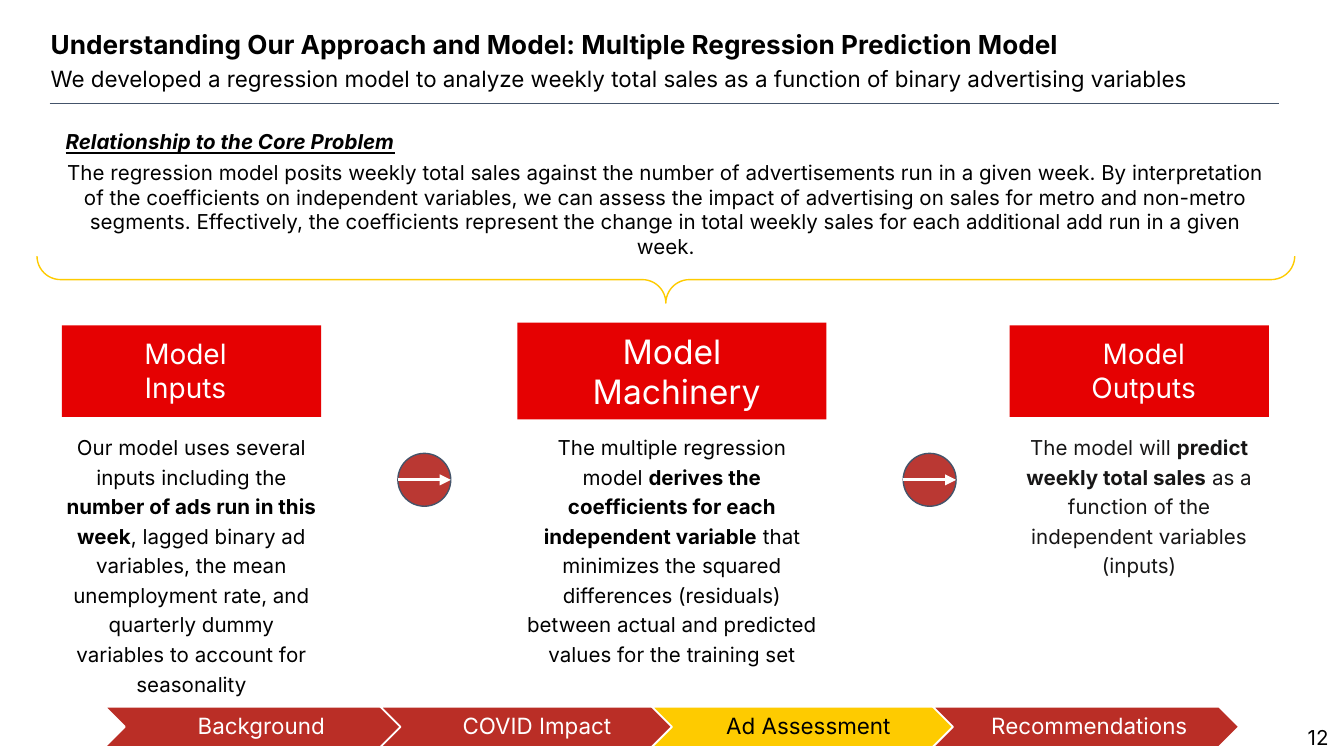
from dataclasses import dataclass
from typing import NamedTuple

from lxml.etree import SubElement
from pptx import Presentation
from pptx.dml.color import RGBColor
from pptx.enum.shapes import MSO_CONNECTOR, MSO_SHAPE
from pptx.enum.text import MSO_ANCHOR, PP_ALIGN
from pptx.oxml.ns import qn
from pptx.util import Cm, Pt


@dataclass(frozen=True)
class Theme:
    font: str = "Inter"
    black: str = "000000"
    ink: str = "171616"
    white: str = "FFFFFF"
    red: str = "E50102"
    brick: str = "BA2E26"
    disc: str = "BA3833"
    gold: str = "FECB00"
    slate: str = "44546A"
    title: int = 14
    lead: int = 12
    body: int = 11
    head: int = 15
    main: int = 18


class Box(NamedTuple):
    left: float
    top: float
    width: float
    height: float


class Part(NamedTuple):
    """A model column: red bar, label and text."""
    bar: Box
    label: Box
    lines: list
    size: int
    text: Box
    body: str
    color: str


class Step(NamedTuple):
    """A chevron of the progress band."""
    name: str
    left: float
    fill: str
    color: str


T = Theme()
TIGHT = (0.18, 0.1, 0.18, 0.1)
WIDE = (0.25,) * 4
SNUG = (0.18, 0.05, 0.05, 0.05)


def rgb(code: str) -> RGBColor:
    return RGBColor.from_string(code)


def put(item, **values) -> None:
    for name, value in values.items():
        setattr(item, name, value)


def cms(box) -> list:
    return [Cm(value) for value in box]


def add_text(slide, box: Box, lines: list, size: int, color: str = T.black,
             pad: tuple = TIGHT, align=PP_ALIGN.CENTER,
             anchor=MSO_ANCHOR.TOP, space: float = 1.0, **style):
    """Write one paragraph per line; *stars* enclose bold words."""
    frame = slide.shapes.add_textbox(*cms(box)).text_frame
    left, top, right, bottom = cms(pad)
    put(frame, word_wrap=True, vertical_anchor=anchor, margin_left=left,
        margin_top=top, margin_right=right, margin_bottom=bottom)
    for row, line in enumerate(lines):
        para = frame.add_paragraph() if row else frame.paragraphs[0]
        put(para, alignment=align, line_spacing=space)
        for turn, words in enumerate(line.split("*")):
            run = para.add_run()
            run.text = words
            look = {"name": T.font, "size": Pt(size),
                    "bold": turn % 2 == 1, **style}
            put(run.font, **look)
            run.font.color.rgb = rgb(color)
    return frame


def add_form(slide, kind, box: Box, fill: str = "", edge: str = "",
             width: float = 0.75):
    form = slide.shapes.add_shape(kind, *cms(box))
    form.shadow.inherit = False
    if fill:
        form.fill.solid()
        form.fill.fore_color.rgb = rgb(fill)
    else:
        form.fill.background()
    if edge:
        form.line.color.rgb = rgb(edge)
        form.line.width = Pt(width)
    else:
        form.line.fill.background()
    return form


def add_line(slide, left: float, right: float, y: float, color: str,
             width: float, arrow: bool = False) -> None:
    rule = slide.shapes.add_connector(
        MSO_CONNECTOR.STRAIGHT, *cms((left, y, right, y)))
    rule.line.color.rgb = rgb(color)
    rule.line.width = Pt(width)
    if arrow:
        SubElement(rule.line._get_or_add_ln(), qn("a:tailEnd"),
                   type="triangle")
    SubElement(rule._element.spPr, qn("a:effectLst"))


def add_part(slide, part: Part) -> None:
    add_form(slide, MSO_SHAPE.RECTANGLE, part.bar, part.fill
             if hasattr(part, "fill") else T.red)
    add_text(slide, part.label, part.lines, part.size, T.white)
    add_text(slide, part.text, [part.body], T.body, part.color, space=1.2)


def add_disc(slide, left: float, top: float = 8.57, size: float = 1) -> None:
    add_form(slide, MSO_SHAPE.OVAL, Box(left, top, size, size),
             T.disc, T.slate)
    add_line(slide, left, left + size, top + size / 2, T.white, 1.5, True)


def add_step(slide, step: Step) -> None:
    box = Box(step.left, 13.36, 5.79, 0.76)
    add_form(slide, MSO_SHAPE.CHEVRON, box, step.fill, T.white, 1)
    inner = box._replace(left=box.left + 0.41, width=box.width - 0.82)
    add_text(slide, inner, [step.name], T.lead, step.color, SNUG,
             anchor=MSO_ANCHOR.MIDDLE, space=0.9)


PARTS = [
    Part(Box(1.17, 6.15, 4.9, 1.73), Box(2.44, 6.27, 2.13, 1.47),
         ["Model Inputs"], T.head, Box(0.99, 8.03, 5.26, 4.65),
         "Our model uses several inputs including the *number of ads run in "
         "this week*, lagged binary ad variables, the mean unemployment "
         "rate, and quarterly dummy variables to account for seasonality",
         T.black),
    Part(Box(9.78, 6.1, 5.84, 1.83), Box(9.78, 6.15, 5.84, 1.73),
         ["Model", " Machinery"], T.main, Box(9.78, 8.03, 5.84, 4.9),
         "The multiple regression model *derives the coefficients for each "
         "independent variable* that minimizes the squared differences "
         "(residuals) between actual and predicted values for the training "
         "set", T.black),
    Part(Box(19.08, 6.15, 4.9, 1.73), Box(20.14, 6.27, 2.95, 1.47),
         ["Model Outputs"], T.head, Box(19.08, 8.03, 4.9, 3.56),
         "The model will *predict weekly total sales* as a function of the "
         "independent variables (inputs)", T.ink),
]
STEPS = [
    Step("Background", 1.98, T.brick, T.white),
    Step("COVID Impact", 7.19, T.brick, T.white),
    Step("Ad Assessment", 12.32, T.gold, T.black),
    Step("Recommendations", 17.63, T.brick, T.white),
]


def main() -> None:
    deck = Presentation()
    put(deck, slide_width=Cm(25.4), slide_height=Cm(14.29))
    slide = deck.slides.add_slide(deck.slide_layouts[6])

    # Heading
    add_text(slide, Box(0.71, 0.28, 23.29, 1.12),
             ["Understanding Our Approach and Model: Multiple Regression "
              "Prediction Model"], T.title, pad=WIDE, align=PP_ALIGN.LEFT,
             bold=True)
    add_text(slide, Box(0.71, 0.99, 23.5, 1.02),
             ["We developed a regression model to analyze weekly total sales "
              "as a function of binary advertising variables"], T.lead,
             pad=WIDE, align=PP_ALIGN.LEFT)
    add_line(slide, 0.94, 24.18, 1.96, T.slate, 0.75)

    # Core problem and brace
    frame = add_text(
        slide, Box(0.99, 2.18, 23.19, 3),
        ["*Relationship to the Core Problem*",
         "The regression model posits weekly total sales against the number "
         "of advertisements run in a given week. By interpretation of the "
         "coefficients on independent variables, we can assess the impact of "
         "advertising on sales for metro and non-metro segments. "
         "Effectively, the coefficients represent the change in total weekly "
         "sales for each additional add run in a given week."],
        T.body, pad=WIDE)
    head, text = frame.paragraphs
    head.alignment = PP_ALIGN.LEFT
    for run in head.runs:
        put(run.font, italic=True, underline=True)
    text.space_before = Pt(3.6)
    brace = add_form(slide, MSO_SHAPE.LEFT_BRACE,
                     Box(12.14, -6.6, 0.89, 23.77), edge=T.gold)
    brace.rotation = 270
    brace.adjustments[0] = 0.5

    # Model columns and arrows between them
    for part in PARTS:
        add_part(slide, part)
    for left in (7.52, 17.07):
        add_disc(slide, left)

    # Progress band and page number
    for step in STEPS:
        add_step(slide, step)
    add_text(slide, Box(23.77, 13.18, 1.52, 1.09), ["12"], T.body,
             align=PP_ALIGN.RIGHT, anchor=MSO_ANCHOR.BOTTOM)
    deck.save("out.pptx")


if __name__ == "__main__":
    main()
